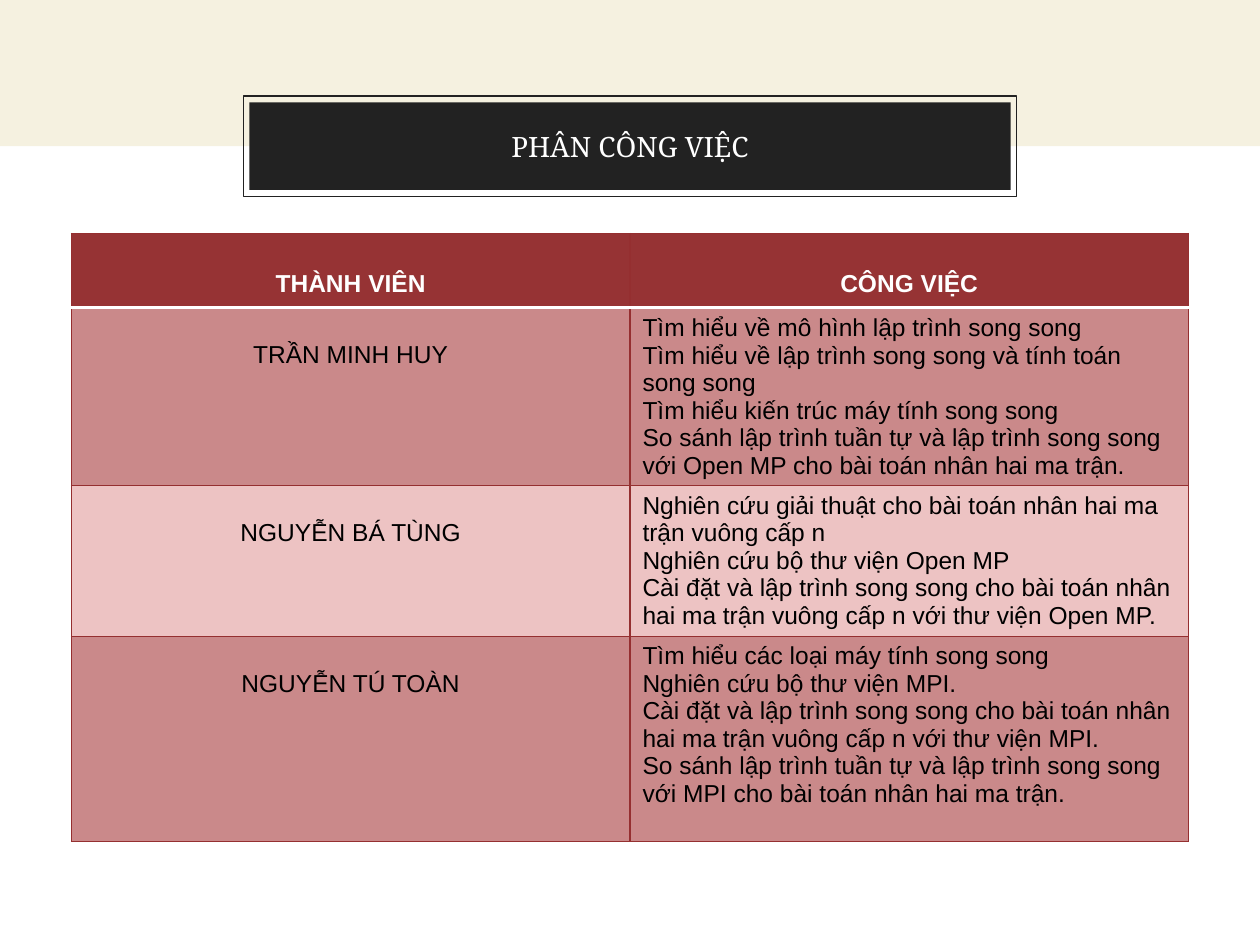
from lxml import etree
from pptx import Presentation
from pptx.dml.color import RGBColor
from pptx.enum import shapes, text
from pptx.oxml.ns import qn
from pptx.util import Pt

TITLE = "PHÂN CÔNG VIỆC"
HEADINGS = ("THÀNH VIÊN", "CÔNG VIỆC")
ASSIGNMENTS = [
    ("TRẦN MINH HUY", [
        "Tìm hiểu về mô hình lập trình song song",
        "Tìm hiểu về lập trình song song và tính toán song song",
        "Tìm hiểu kiến trúc máy tính song song",
        "So sánh lập trình tuần tự và lập trình song song với Open MP cho bài toán nhân hai ma trận."]),
    ("NGUYỄN BÁ TÙNG", [
        "Nghiên cứu giải thuật cho bài toán nhân hai ma trận vuông cấp n",
        "Nghiên cứu bộ thư viện Open MP",
        "Cài đặt và lập trình song song cho bài toán nhân hai ma trận vuông cấp n với thư viện Open MP."]),
    ("NGUYỄN TÚ TOÀN", [
        "Tìm hiểu các loại máy tính song song",
        "Nghiên cứu bộ thư viện MPI.",
        "Cài đặt và lập trình song song cho bài toán nhân hai ma trận vuông cấp n với thư viện MPI.",
        "So sánh lập trình tuần tự và lập trình song song với MPI cho bài toán nhân hai ma trận."]),
]
ROW_HEIGHTS = (42.6, 101.4, 86, 117.1)
BAND_FILLS = ("CA898A", "EDC3C3")
INK, CREAM, RED, EDGE, WHITE, BLACK = "222222", "F5F1E0", "963334", "952F30", "FFFFFF", "000000"
TITLE_FONT = {"name": "Noto Serif", "size": Pt(16)}
HEADING_FONT = {"name": "Arial", "size": Pt(14), "bold": True}
BODY_FONT = {"name": "Arial", "size": Pt(14), "bold": False}
CENTER, LEFT = text.PP_ALIGN.CENTER, text.PP_ALIGN.LEFT
MIDDLE, TOP = text.MSO_ANCHOR.MIDDLE, text.MSO_ANCHOR.TOP
LOWERED = Pt(19.3)


def paint(color_format, color):
    color_format.rgb = RGBColor.from_string(color)


def write(frame, lines, font, color, align):
    frame.text = "\n".join(lines)
    for paragraph in frame.paragraphs:
        paragraph.alignment = align
        for run in paragraph.runs:
            for key, value in font.items():
                setattr(run.font, key, value)
            paint(run.font.color, color)


def add_box(left, top, width, height, fill=None, line=None):
    box = slide.shapes.add_shape(
        shapes.MSO_SHAPE.RECTANGLE, Pt(left), Pt(top), Pt(width), Pt(height))
    box.shadow.inherit = False
    for part, color in ((box.fill, fill), (box.line.fill, line)):
        if color:
            part.solid()
            paint(part.fore_color, color)
        else:
            part.background()
    if line:
        box.line.width = Pt(0.75)
    return box


def set_borders(cell, sides):
    properties = cell._tc.get_or_add_tcPr()
    for position, (side, (color, width)) in enumerate(sides.items()):
        border = etree.Element(qn("a:ln" + side), w=str(Pt(width)))
        solid = etree.SubElement(border, qn("a:solidFill"))
        etree.SubElement(solid, qn("a:srgbClr"), val=color)
        properties.insert(position, border)


def fill_cell(cell, lines, font, color, align, fill, margin_top, anchor):
    write(cell.text_frame, lines, font, color, align)
    cell.fill.solid()
    paint(cell.fill.fore_color, fill)
    cell.margin_top = margin_top
    cell.vertical_anchor = anchor


deck = Presentation()
deck.slide_width, deck.slide_height = Pt(720), Pt(540)
slide = deck.slides.add_slide(deck.slide_layouts[6])

add_box(0, 0, 720, 83.6, fill=CREAM)
add_box(139.2, 54.9, 441.6, 57.4, line=INK)
title = add_box(142.5, 58.5, 435, 50, fill=INK)
title.text_frame.vertical_anchor = MIDDLE
title.text_frame.word_wrap = True
write(title.text_frame, [TITLE], TITLE_FONT, WHITE, CENTER)

table = slide.shapes.add_table(
    len(ROW_HEIGHTS), len(HEADINGS), Pt(40.8), Pt(133.4), Pt(638.4), Pt(sum(ROW_HEIGHTS))).table
for row, height in zip(table.rows, ROW_HEIGHTS):
    row.height = Pt(height)

for column, heading in enumerate(HEADINGS):
    fill_cell(table.cell(0, column), [heading], HEADING_FONT, WHITE, CENTER, RED, LOWERED, MIDDLE)
for index, (member, tasks) in enumerate(ASSIGNMENTS):
    band = BAND_FILLS[index % 2]
    fill_cell(table.cell(index + 1, 0), [member], BODY_FONT, BLACK, CENTER, band, LOWERED, TOP)
    fill_cell(table.cell(index + 1, 1), tasks, BODY_FONT, BLACK, LEFT, band, Pt(3.6), TOP)

thin, rule = (EDGE, 0.75), (WHITE, 2)
for index, row in enumerate(table.rows):
    for cell in row.cells:
        set_borders(cell, {"L": thin, "R": thin,
                           "T": rule if index == 1 else thin,
                           "B": rule if index == 0 else thin})

deck.save("out.pptx")
